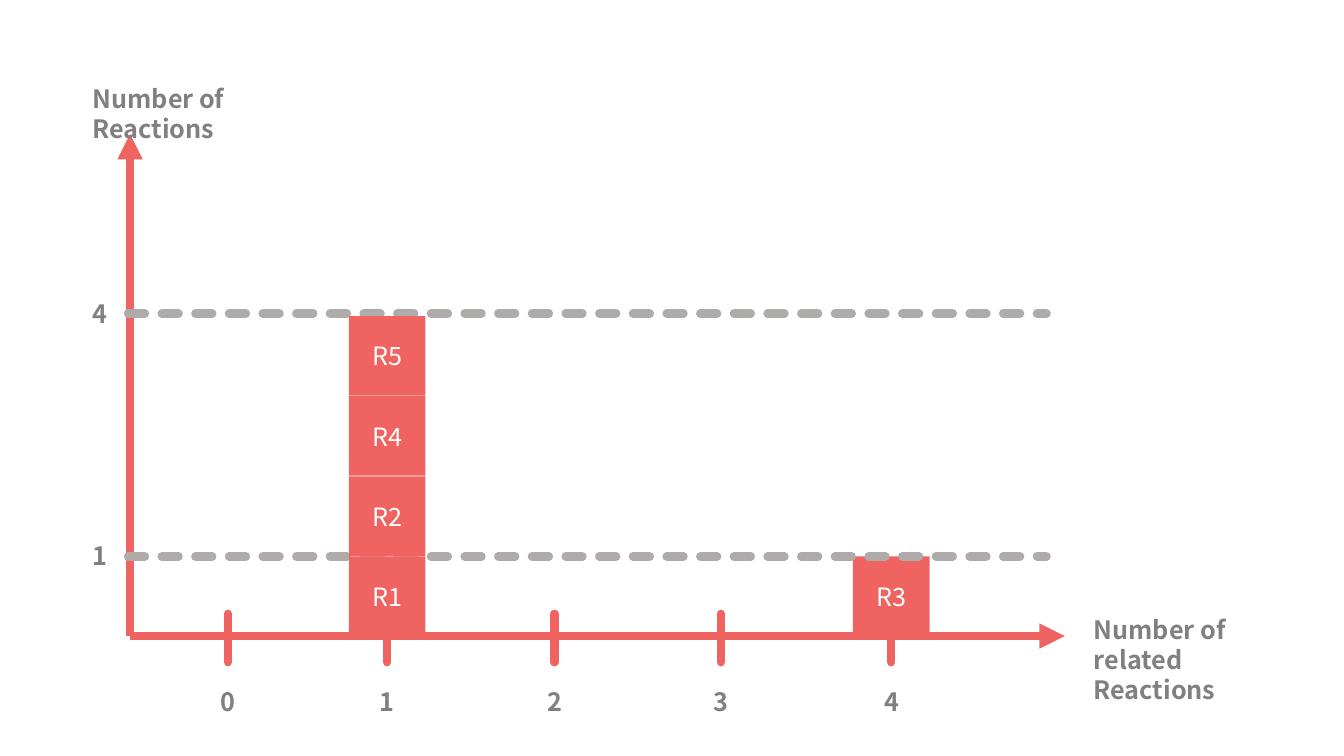
from typing import NamedTuple

from lxml.etree import SubElement
from pptx import Presentation
from pptx.dml.color import RGBColor
from pptx.enum.dml import MSO_LINE_DASH_STYLE as DashStyle
from pptx.enum.shapes import MSO_CONNECTOR as ConnectorType, MSO_SHAPE as ShapeType
from pptx.enum.text import MSO_ANCHOR as Anchor, PP_ALIGN as Align
from pptx.oxml.ns import qn
from pptx.slide import Slide
from pptx.text.text import TextFrame
from pptx.util import Inches, Pt

CORAL = RGBColor(0xEF, 0x64, 0x61)
GRAY = RGBColor(0x80, 0x80, 0x80)
LIGHT_GRAY = RGBColor(0xAF, 0xAB, 0xAB)
WHITE = RGBColor(0xFF, 0xFF, 0xFF)
FONT = "Noto Sans CJK JP"

ORIGIN_X, ORIGIN_Y = 1.29, 6.31
BAR_WIDTH, BAR_HEIGHT = 0.76, 0.79
BAR_TOP, BAR_STEP = 5.52, 0.795
TICK_XS = (2.26, 3.84, 5.5, 7.15, 8.84)


class Line(NamedTuple):
    x1: float
    y1: float
    x2: float
    y2: float
    color: RGBColor = CORAL
    arrow: bool = False
    dashed: bool = False


class Label(NamedTuple):
    text: str
    left: float
    top: float
    width: float = 0.34
    height: float = 0.4


class Bar(NamedTuple):
    text: str
    center_x: float
    level: int


def draw_line(slide: Slide, line: Line) -> None:
    connector = slide.shapes.add_connector(
        ConnectorType.STRAIGHT,
        Inches(line.x1), Inches(line.y1), Inches(line.x2), Inches(line.y2))
    connector.line.color.rgb = line.color
    connector.line.width = Pt(6)
    if line.dashed:
        connector.line.dash_style = DashStyle.SQUARE_DOT
    outline = connector.line._get_or_add_ln()
    if line.arrow:
        SubElement(outline, qn("a:tailEnd"), type="triangle")
    else:
        outline.set("cap", "rnd")
    SubElement(connector._element.spPr, qn("a:effectLst"))


def format_text(frame: TextFrame, color: RGBColor, bold: bool, align: Align) -> None:
    for paragraph in frame.paragraphs:
        paragraph.alignment = align
        for run in paragraph.runs:
            run.font.name = FONT
            run.font.size = Pt(18)
            run.font.bold = bold
            run.font.color.rgb = color


def draw_label(slide: Slide, label: Label) -> None:
    box = slide.shapes.add_textbox(
        Inches(label.left), Inches(label.top), Inches(label.width), Inches(label.height))
    box.text_frame.word_wrap = True
    box.text_frame.text = label.text
    format_text(box.text_frame, GRAY, True, Align.LEFT)


def draw_bar(slide: Slide, bar: Bar) -> None:
    shape = slide.shapes.add_shape(
        ShapeType.RECTANGLE,
        Inches(bar.center_x - BAR_WIDTH / 2), Inches(BAR_TOP - BAR_STEP * bar.level),
        Inches(BAR_WIDTH), Inches(BAR_HEIGHT))
    shape.shadow.inherit = False
    shape.fill.solid()
    shape.fill.fore_color.rgb = CORAL
    shape.line.fill.background()
    shape.text_frame.vertical_anchor = Anchor.MIDDLE
    shape.text_frame.text = bar.text
    format_text(shape.text_frame, WHITE, False, Align.CENTER)


def main() -> None:
    presentation = Presentation()
    presentation.slide_width = Inches(13.33)
    presentation.slide_height = Inches(7.5)
    slide = presentation.slides.add_slide(presentation.slide_layouts[6])

    # Axes
    draw_line(slide, Line(ORIGIN_X, ORIGIN_Y, ORIGIN_X, 1.33, arrow=True))
    draw_line(slide, Line(ORIGIN_X, ORIGIN_Y, 10.56, ORIGIN_Y, arrow=True))

    # Ticks and their numbers
    for number, x in enumerate(TICK_XS):
        draw_line(slide, Line(x, 6.09, x, 6.57))
        draw_label(slide, Label(str(number), x - 0.17, 6.76))

    # The bar at 4 lies below the level lines, the stack at 1 above them
    draw_bar(slide, Bar("R3", TICK_XS[4], 0))
    for y in (3.11, 5.52):
        draw_line(slide, Line(1.27, y, 10.38, y, LIGHT_GRAY, dashed=True))
    for level, name in enumerate(("R1", "R2", "R4", "R5")):
        draw_bar(slide, Bar(name, TICK_XS[1], level))

    # Level numbers and axis titles
    for label in (
        Label("1", 0.82, 5.31),
        Label("4", 0.82, 2.91),
        Label("Number of Reactions", 0.82, 0.78, 2.63),
        Label("Number of related\nReactions", 10.75, 6.04, 2.33, 0.71),
    ):
        draw_label(slide, label)

    presentation.save("out.pptx")


if __name__ == "__main__":
    main()
